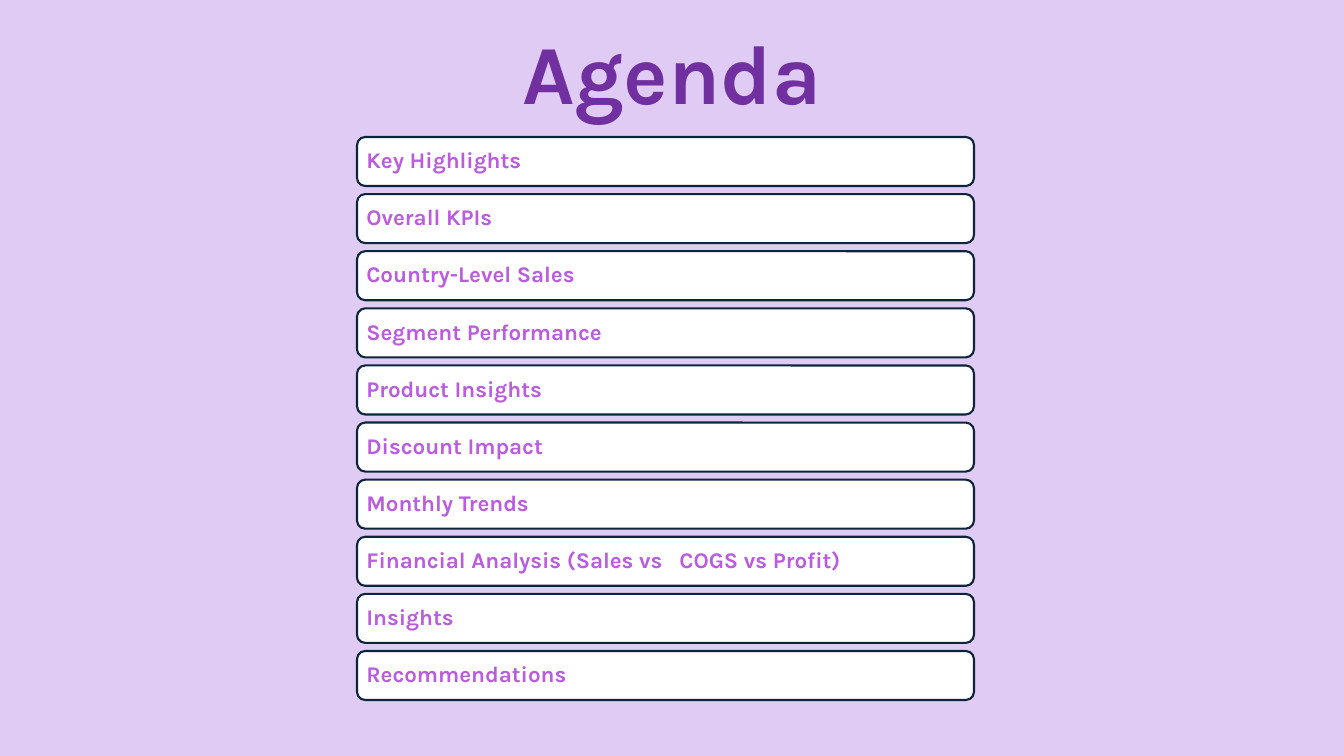
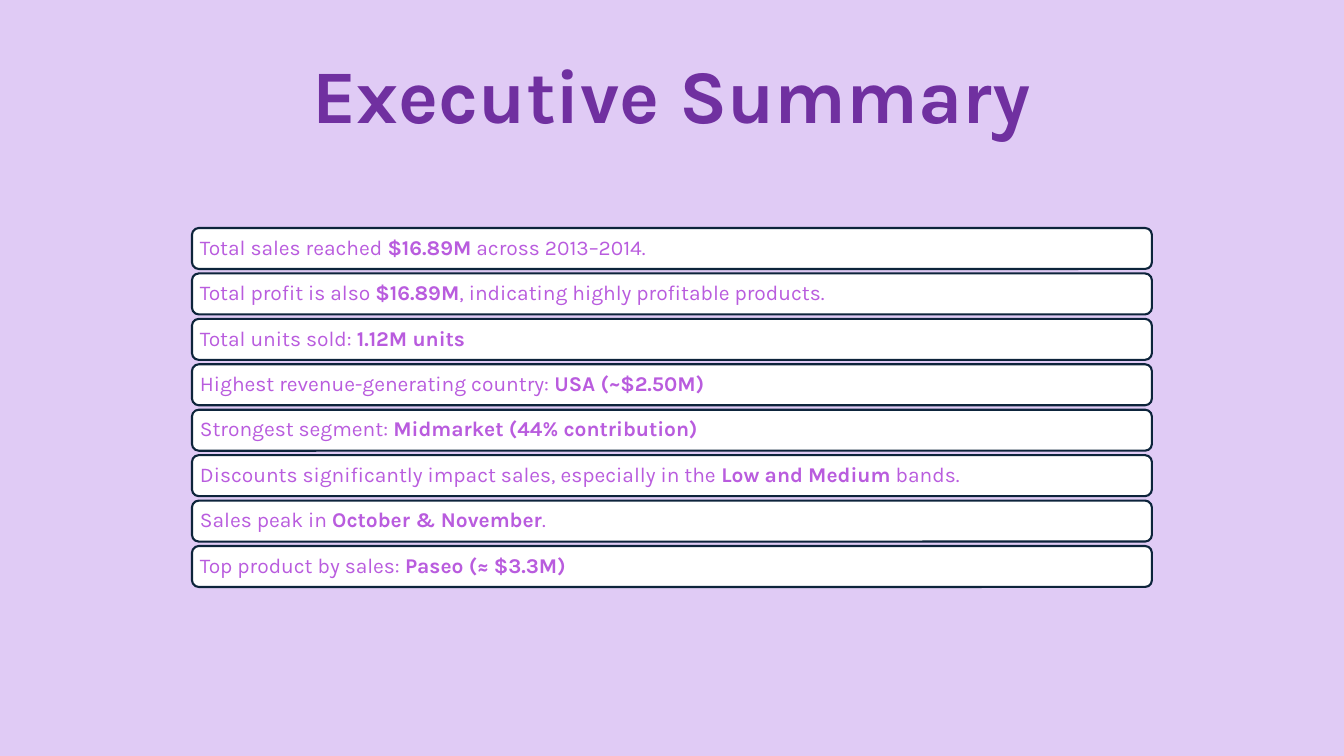
from pptx import Presentation
from pptx import util as u
from pptx.dml import color
from pptx.enum import shapes, text

SCALE = 914400 / 100.8  # EMU per px

AGENDA = [
    "Key Highlights",
    "Overall KPIs",
    "Country-Level Sales",
    "Segment Performance",
    "Product Insights",
    "Discount Impact",
    "Monthly Trends",
    "Financial Analysis (Sales vs   COGS vs Profit)",
    "Insights",
    "Recommendations",
]

# Asterisks enclose the bold part of each line.
SUMMARY = [
    "Total sales reached *$16.89M* across 2013–2014.",
    "Total profit is also *$16.89M*, indicating highly profitable products.",
    "Total units sold: *1.12M units*",
    "Highest revenue-generating country: *USA (~$2.50M)*",
    "Strongest segment: *Midmarket (44% contribution)*",
    "Discounts significantly impact sales, especially in the *Low and Medium* bands.",
    "Sales peak in *October & November*.",
    "Top product by sales: *Paseo (≈ $3.3M)*",
]


def px(n):
    return u.Emu(round(n * SCALE))


def rgb(value):
    return color.RGBColor.from_string(value)


class Deck:
    FONT = "Karla"
    BACKGROUND = "E0CBF5"
    TITLE = "7030A0"
    BODY = "B95CDE"
    CARD = "FFFFFF"
    OUTLINE = "0D243B"

    def __init__(self):
        self.prs = Presentation()
        self.prs.slide_width, self.prs.slide_height = px(1344), px(756)

    def slide(self):
        self.s = self.prs.slides.add_slide(self.prs.slide_layouts[6])
        fill = self.s.background.fill
        fill.solid()
        fill.fore_color.rgb = rgb(self.BACKGROUND)

    def set_text(self, tf, marked, size, hue, align, bold=False):
        """Fill a frame with one paragraph; parts between asterisks are bold."""
        tf.word_wrap = True
        p = tf.paragraphs[0]
        p.alignment = align
        p.line_spacing = 0.9
        for i, part in enumerate(marked.split("*")):
            if part:
                r = p.add_run()
                r.text = part
                r.font.name = self.FONT
                r.font.size = u.Pt(size)
                r.font.bold = bold or i % 2 == 1
                r.font.color.rgb = rgb(hue)

    def title(self, words, x, y, w, h, size):
        tf = self.s.shapes.add_textbox(px(x), px(y), px(w), px(h)).text_frame
        tf.vertical_anchor = text.MSO_ANCHOR.BOTTOM
        self.set_text(tf, words, size, self.TITLE, text.PP_ALIGN.CENTER, bold=True)

    def card(self, words, x, y, w, h, size, inset, bold):
        sp = self.s.shapes.add_shape(
            shapes.MSO_SHAPE.ROUNDED_RECTANGLE, px(x), px(y), px(w), px(h))
        sp.shadow.inherit = False
        sp.fill.solid()
        sp.fill.fore_color.rgb = rgb(self.CARD)
        sp.line.color.rgb = rgb(self.OUTLINE)
        sp.line.width = u.Pt(1.5)
        tf = sp.text_frame
        tf.margin_left = tf.margin_right = px(inset)
        tf.margin_top = tf.margin_bottom = px(inset)
        tf.vertical_anchor = text.MSO_ANCHOR.MIDDLE
        self.set_text(tf, words, size, self.BODY, text.PP_ALIGN.LEFT, bold)

    def card_list(self, lines, x, first, last, w, h, size, inset, bold=False):
        """Stack cards evenly, with tops running from first to last."""
        pitch = (last - first) / (len(lines) - 1)
        for i, line in enumerate(lines):
            self.card(line, x, first + i * pitch, w, h, size, inset, bold)


def main():
    deck = Deck()

    deck.slide()
    deck.title("Agenda", 338, 18, 668, 110, size=60)
    deck.card_list(AGENDA, x=357, first=137, last=651, w=617, h=49,
                   size=16, inset=7, bold=True)

    deck.slide()
    deck.title("Executive Summary", 295, 47, 753, 98, size=54)
    deck.card_list(SUMMARY, x=192, first=228, last=546, w=960, h=41,
                   size=15, inset=6)

    deck.prs.save("out.pptx")


if __name__ == "__main__":
    main()
